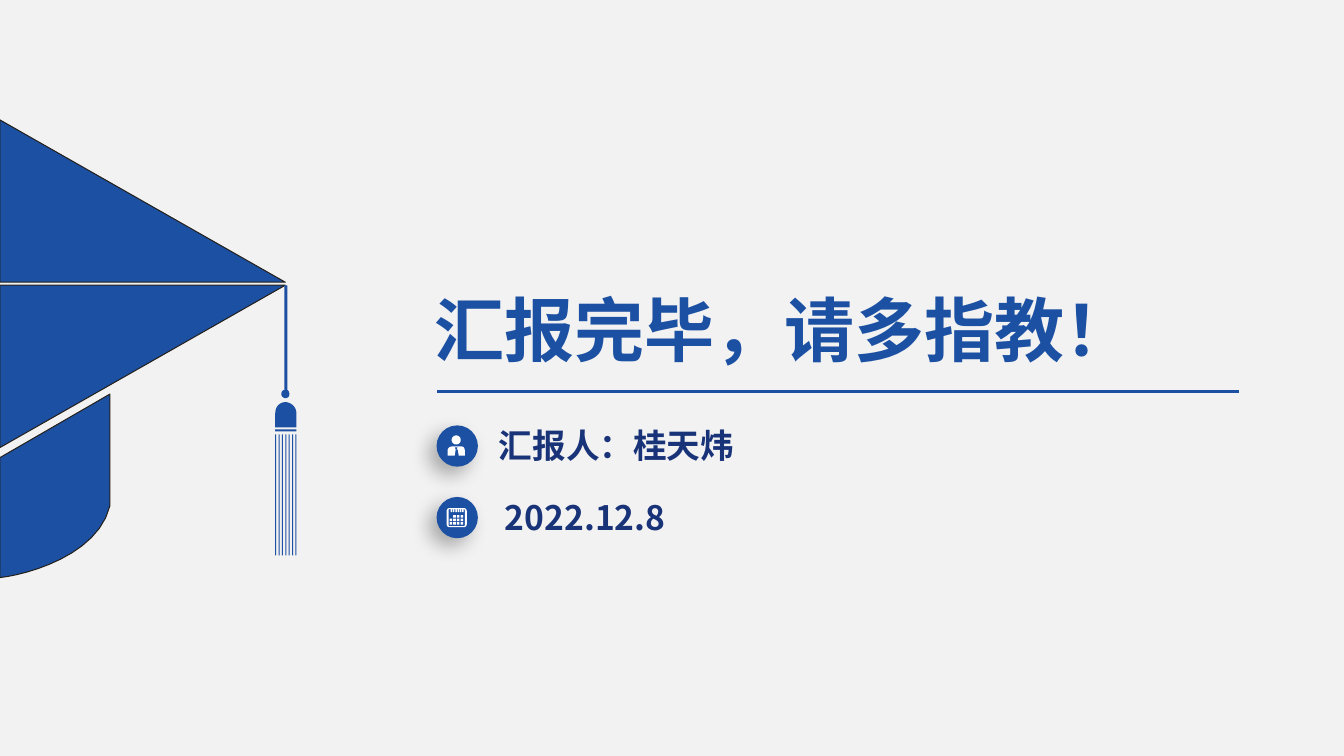
from lxml.etree import SubElement
from pptx import Presentation
from pptx.dml.color import RGBColor
from pptx.enum.shapes import MSO_CONNECTOR, MSO_SHAPE
from pptx.enum.text import MSO_AUTO_SIZE
from pptx.oxml.ns import qn
from pptx.util import Inches, Pt

COLORS = {"back": "F2F2F2", "blue": "1C50A2", "navy": "193379",
          "edge": "24211D", "white": "FFFFFF", "shade": "000000"}
FONT = "Noto Sans CJK SC"


def color(name):
    return RGBColor.from_string(COLORS[name])


def paint(shape, fill):
    shape.shadow.inherit = False
    shape.fill.solid()
    shape.fill.fore_color.rgb = color(fill)
    shape.line.fill.background()


def curve(start, bend, steps=12):
    """Points along a cubic curve; bend holds two handles and the end."""
    x1, y1, x2, y2, x3, y3 = bend
    points = []
    for step in range(1, steps + 1):
        t = step / steps
        u = 1 - t
        mix = (u ** 3, 3 * u * u * t, 3 * u * t * t, t ** 3)
        points.append(tuple(sum(m * v for m, v in zip(mix, axis)) for axis in
                            ((start[0], x1, x2, x3), (start[1], y1, y2, y3))))
    return points


def trace(path):
    points = []
    for part in path:
        points += [part] if len(part) == 2 else curve(points[-1], part)
    return [(Inches(x), Inches(y)) for x, y in points]


def box(left, top, right, low, r=0.0):
    """A rectangle path, with round corners when r is set."""
    if not r:
        return [(left, top), (right, top), (right, low), (left, low)]
    h = r * 0.45
    return [(left + r, top), (right - r, top),
            (right - h, top, right, top + h, right, top + r),
            (right, low - r),
            (right, low - h, right - h, low, right - r, low),
            (left + r, low),
            (left + h, low, left, low - h, left, low - r),
            (left, top + r),
            (left, top + h, left + h, top, left + r, top)]


def draw(shapes, paths, fill):
    pen = None
    for path in paths:
        first, *rest = trace(path)
        if pen is None:
            pen = shapes.build_freeform(*first)
        else:
            pen.move_to(*first)
        pen.add_line_segments(rest, close=True)
    shape = pen.convert_to_shape()
    paint(shape, fill)
    return shape


def write(slide, words, area, size, tint, wrap=False, inset=(0.1, 0.05)):
    label = slide.shapes.add_textbox(*map(Inches, area))
    frame = label.text_frame
    frame.word_wrap = wrap
    frame.auto_size = MSO_AUTO_SIZE.SHAPE_TO_FIT_TEXT
    frame.margin_left = frame.margin_right = Inches(inset[0])
    frame.margin_top = frame.margin_bottom = Inches(inset[1])
    para = frame.paragraphs[0]
    para.text = words
    font = para.font
    font.size, font.bold, font.name = Pt(size), True, FONT
    font.color.rgb = color(tint)
    props = para._p.pPr.find(qn("a:defRPr"))
    SubElement(props, qn("a:ea"), typeface=FONT)


def rule(slide, start, end):
    line = slide.shapes.add_connector(MSO_CONNECTOR.STRAIGHT,
                                      *map(Inches, start + end))
    line.line.color.rgb = color("blue")
    line.line.width = Pt(2.25)
    SubElement(line._element.spPr, qn("a:effectLst"))


def shade(shape):
    effects = shape._element.spPr.find(qn("a:effectLst"))
    outer = SubElement(effects, qn("a:outerShdw"), blurRad=str(Pt(14)),
                       dist=str(Pt(8)), dir="8100000", algn="tr",
                       rotWithShape="0")
    tint = SubElement(outer, qn("a:srgbClr"), val=COLORS["shade"])
    SubElement(tint, qn("a:alpha"), val="30000")


def badge(slide, top, icon):
    group = slide.shapes.add_group_shape()
    disc = group.shapes.add_shape(
        MSO_SHAPE.OVAL, *map(Inches, (4.33, top, 0.41, 0.41)))
    paint(disc, "blue")
    shade(disc)
    draw(group.shapes, icon, "white")


def cap(slide):
    board = [[(0, 1.19), (2.83, 2.8), (0, 2.8)],
             [(2.83, 2.83), (0, 4.44), (0, 2.83)],
             [(1.09, 5.02), (0.97, 5.51, 0.27, 5.7, 0, 5.73),
              (0, 4.54), (1.09, 3.91)]]
    shape = draw(slide.shapes, board, "blue")
    shape.line.color.rgb = color("edge")
    shape.line.width = Pt(0)


def tassel(slide):
    cord = [(2.82, 2.83), (2.82, 3.87),
            (2.8, 3.87, 2.79, 3.89, 2.79, 3.91),
            (2.79, 3.93, 2.81, 3.95, 2.83, 3.95),
            (2.86, 3.95, 2.87, 3.93, 2.87, 3.91),
            (2.87, 3.89, 2.86, 3.87, 2.85, 3.87), (2.85, 2.83)]
    knob = [(2.73, 4.1), (2.73, 4.04, 2.77, 3.99, 2.83, 3.99),
            (2.89, 3.99, 2.94, 4.04, 2.94, 4.1), (2.94, 4.24), (2.73, 4.24)]
    band = box(2.73, 4.26, 2.94, 4.28)
    lefts = [2.73 + 0.2 * i / 6 for i in range(7)]
    strands = [box(x, 4.31, x + 0.01, 5.51) for x in lefts]
    draw(slide.shapes, [cord, band, knob] + strands, "blue")


def person():
    body = [(4.48, 4.43), (4.58, 4.43), (4.6, 4.43, 4.61, 4.45, 4.61, 4.47),
            (4.61, 4.52), (4.55, 4.52), (4.54, 4.46), (4.53, 4.46),
            (4.54, 4.44), (4.51, 4.44), (4.52, 4.46), (4.51, 4.52),
            (4.44, 4.52), (4.44, 4.47), (4.44, 4.45, 4.46, 4.43, 4.48, 4.43)]
    return [body, box(4.48, 4.32, 4.57, 4.41, 0.045)]


def calendar():
    frame = [box(4.43, 5.04, 4.63, 5.23, 0.03),
             box(4.45, 5.05, 4.61, 5.22, 0.01)]
    rings = [box(x, 5.05, x + 0.015, 5.08)
             for x in (4.47 + 0.023 * i for i in range(6))]
    days = [box(x, y, x + 0.025, y + 0.025)
            for row in range(3) for col in range(4) if row or col
            for x, y in [(4.46 + 0.036 * col, 5.11 + 0.035 * row)]]
    return frame + rings + days


def main():
    deck = Presentation()
    deck.slide_width, deck.slide_height = Inches(13.33), Inches(7.5)
    slide = deck.slides.add_slide(deck.slide_layouts[6])
    slide.background.fill.solid()
    slide.background.fill.fore_color.rgb = color("back")

    # Title and rule
    write(slide, "汇报完毕，请多指教！", (4.24, 2.8, 9.24, 0.92), 50, "blue",
          wrap=True, inset=(0.07, 0.04))
    rule(slide, (12.29, 3.88), (4.33, 3.88))

    # Graduation cap
    cap(slide)
    tassel(slide)

    # Speaker and date
    write(slide, "汇报人：桂天炜", (4.85, 4.17, 2.56, 0.5), 24, "navy")
    badge(slide, 4.22, person())
    badge(slide, 4.93, calendar())
    write(slide, "2022.12.8", (4.91, 4.88, 1.84, 0.5), 24, "navy")

    deck.save("out.pptx")


if __name__ == "__main__":
    main()
